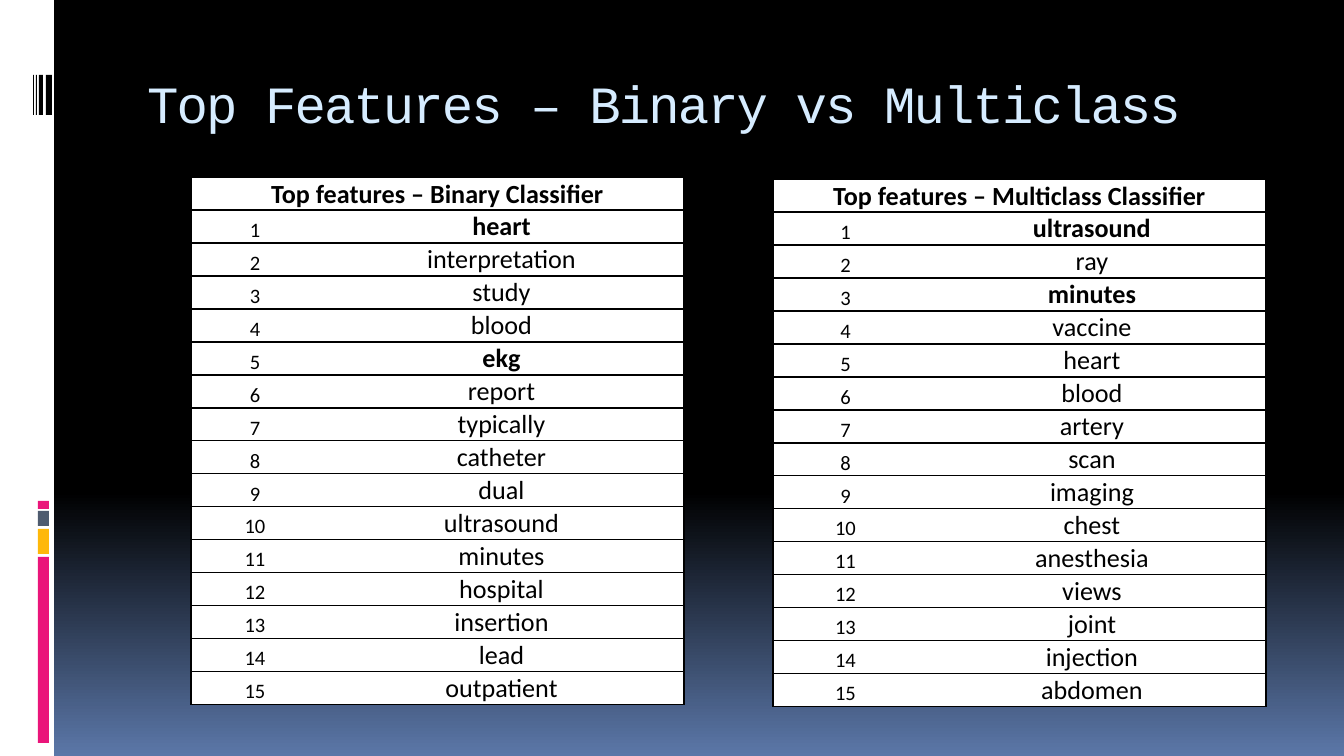
from copy import deepcopy

from lxml import etree
from pptx import Presentation
from pptx.dml.color import RGBColor
from pptx.enum.shapes import MSO_SHAPE
from pptx.enum.text import MSO_ANCHOR, PP_ALIGN
from pptx.oxml.ns import qn
from pptx.util import Pt

RECTANGLE = MSO_SHAPE.RECTANGLE
LEFT, CENTER = PP_ALIGN.LEFT, PP_ALIGN.CENTER
MIDDLE, BOTTOM = MSO_ANCHOR.MIDDLE, MSO_ANCHOR.BOTTOM
PX = 914400 / 134.4

THEME = {
    "black": "000000", "white": "FFFFFF", "blue": "5B77A8", "title": "D6ECFF",
    "pink": "EA157A", "amber": "FEB80A", "slate": "4E5B6F",
    "title_font": "Courier New", "table_font": "Calibri",
    "title_size": 28, "word_size": 14, "rank_size": 11, "border_width": 1,
}


def write(frame, text, size, color="black", font="table_font", bold=False,
          align=CENTER, spacing=0):
    """Fill the first paragraph; spacing is in hundredths of a point."""
    paragraph = frame.paragraphs[0]
    paragraph.alignment = align
    run = paragraph.add_run()
    run.text = text
    run.font.name = THEME[font]
    run.font.size = Pt(THEME[size])
    run.font.bold = bold
    run.font.color.rgb = RGBColor.from_string(THEME[color])
    if spacing:
        run.font._element.set("spc", str(spacing))


def style_cell(cell, sides):
    """Give the cell a white fill and black borders on the named sides."""
    properties = cell._tc.get_or_add_tcPr()
    for side in "LRTB":
        line = etree.SubElement(properties, qn(f"a:ln{side}"),
                                w=str(Pt(THEME["border_width"])))
        if side in sides:
            fill = etree.SubElement(line, qn("a:solidFill"))
            etree.SubElement(fill, qn("a:srgbClr"), val=THEME["black"])
        else:
            etree.SubElement(line, qn("a:noFill"))
    cell.fill.solid()
    cell.fill.fore_color.rgb = RGBColor.from_string(THEME["white"])
    cell.vertical_anchor = BOTTOM
    cell.margin_left = cell.margin_right = cell.margin_top = round(PX)
    cell.margin_bottom = 0


presentation = Presentation()
presentation.slide_width = round(1344 * PX)
presentation.slide_height = round(756 * PX)
slide = presentation.slides.add_slide(presentation.slide_layouts[6])

# Background: black down to 65 %, then fading to blue
background = slide.background.fill
background.gradient()
background.gradient_angle = 270
for stop, position, color in zip(background.gradient_stops, (0, 1), ("black", "blue")):
    stop.position = position
    stop.color.rgb = RGBColor.from_string(THEME[color])
stop_list = next(slide.element.iter(qn("a:gsLst")))
middle_stop = deepcopy(stop_list[0])
middle_stop.set("pos", "65000")
stop_list.insert(1, middle_stop)

# Side strip with coloured blocks and a barcode motif
strip = [(0, 0, 54, 756, "white")]
strip += [(38, top, 11, height, color) for top, height, color in (
    (557, 186, "pink"), (529, 25, "amber"), (511, 15, "slate"), (501, 8, "pink"))]
strip += [(left, 75, width, 40, "black")
          for left, width in ((46, 6), (39, 4), (36, 1), (33, 1))]
for left, top, width, height, color in strip:
    shape = slide.shapes.add_shape(
        RECTANGLE, *(round(value * PX) for value in (left, top, width, height)))
    shape.shadow.inherit = False
    shape.fill.solid()
    shape.fill.fore_color.rgb = RGBColor.from_string(THEME[color])
    shape.line.fill.background()

# Title
title = slide.shapes.add_textbox(
    *(round(value * PX) for value in (134, 56, 1142, 101))).text_frame
title.word_wrap = True
title.vertical_anchor = MIDDLE
title.margin_top, title.margin_bottom = 0, round(7 * PX)
write(title, "Top Features – Binary vs Multiclass", "title_size", color="title",
      font="title_font", align=LEFT, spacing=-100)

# Ranked feature tables
ROW_HEIGHT = 33
feature_tables = [
    ("Top features – Binary Classifier", 191, 177, (128, 365), {"heart", "ekg"},
     ["heart", "interpretation", "study", "blood", "ekg", "report", "typically",
      "catheter", "dual", "ultrasound", "minutes", "hospital", "insertion",
      "lead", "outpatient"]),
    ("Top features – Multiclass Classifier", 773, 179, (145, 348),
     {"ultrasound", "minutes"},
     ["ultrasound", "ray", "minutes", "vaccine", "heart", "blood", "artery",
      "scan", "imaging", "chest", "anesthesia", "views", "joint", "injection",
      "abdomen"]),
]
for heading, left, top, widths, bold_words, words in feature_tables:
    row_count = len(words) + 1
    table = slide.shapes.add_table(
        row_count, 2, *(round(value * PX) for value in (
            left, top, sum(widths), row_count * ROW_HEIGHT))).table
    table.first_row = table.horz_banding = False
    for column, width in zip(table.columns, widths):
        column.width = round(width * PX)
    for row in table.rows:
        row.height = round(ROW_HEIGHT * PX)

    table.cell(0, 0).merge(table.cell(0, 1))
    for column_index in range(2):
        style_cell(table.cell(0, column_index), "LRTB")
    write(table.cell(0, 0).text_frame, heading, "word_size", bold=True)

    for rank, word in enumerate(words, start=1):
        rank_cell, word_cell = table.cell(rank, 0), table.cell(rank, 1)
        style_cell(rank_cell, "LTB")
        style_cell(word_cell, "RTB")
        write(rank_cell.text_frame, str(rank), "rank_size")
        write(word_cell.text_frame, word, "word_size", bold=word in bold_words)

presentation.save("out.pptx")
